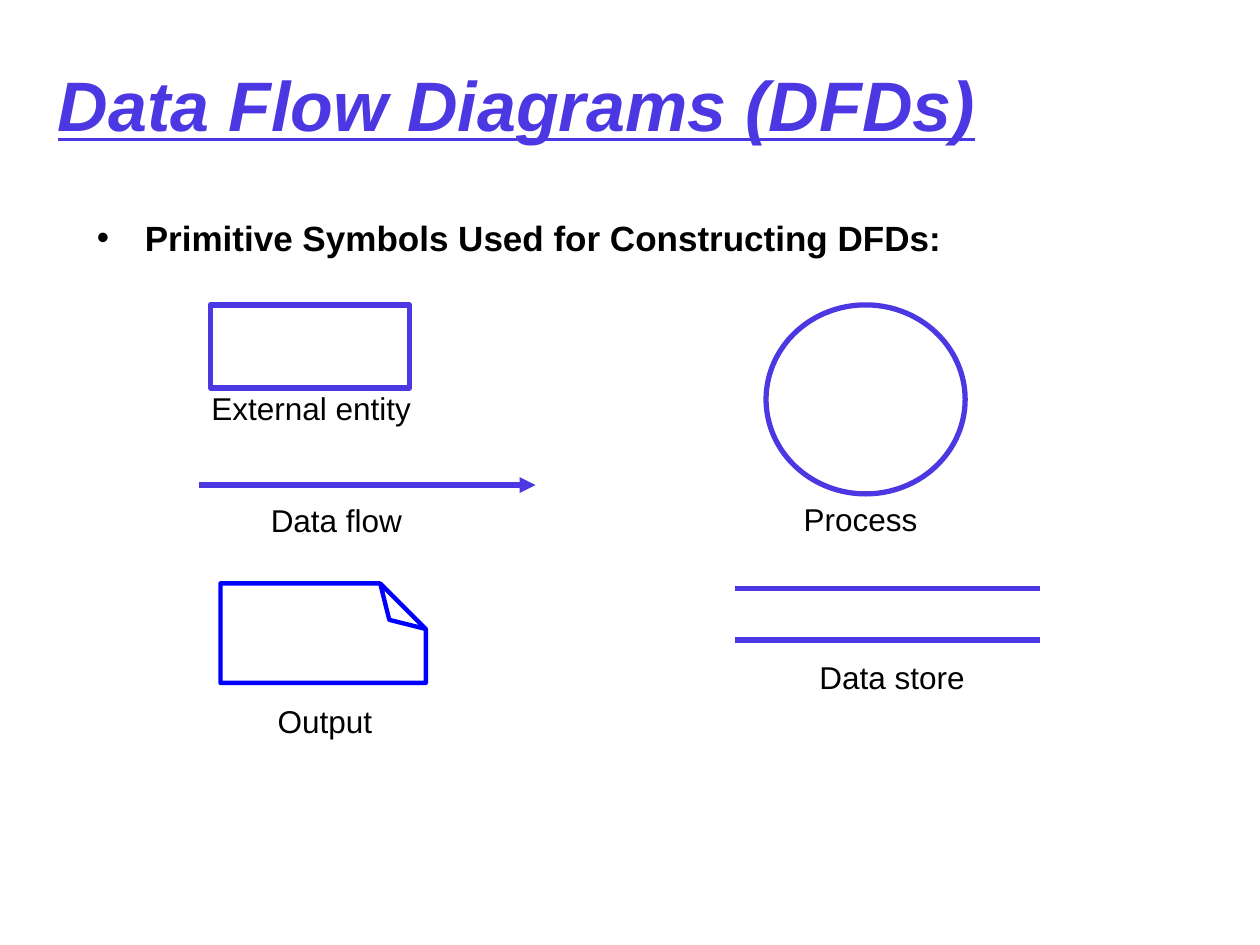
from lxml import etree
from pptx import Presentation
from pptx.dml.color import RGBColor
from pptx.enum import shapes, text
from pptx.oxml.ns import qn
from pptx.util import Inches, Pt

VIOLET, BLUE, BLACK = "4C38E2", "0000FF", "000000"
LEFT, CENTER = text.PP_ALIGN.LEFT, text.PP_ALIGN.CENTER
SHAPE = shapes.MSO_SHAPE

TITLE = "Data Flow Diagrams (DFDs)"
BULLET = "Primitive Symbols Used for Constructing DFDs:"
SYMBOLS = [
    (SHAPE.RECTANGLE, (1.67, 2.42, 1.58, 0.66), VIOLET, 3),
    (SHAPE.OVAL, (6.08, 2.42, 1.58, 1.5), VIOLET, 3),
    (SHAPE.FOLDED_CORNER, (2.17, 4.21, 0.79, 1.63), BLUE, 2.5),
]
LINES = [
    (1.58, 4.25, 3.85, True),
    (5.83, 8.25, 4.67, False),
    (5.83, 8.25, 5.08, False),
]
LABELS = [
    ("External entity", 1.58, 3.04, LEFT),
    ("Data flow", 1.67, 3.93, CENTER),
    ("Output", 1.58, 5.52, CENTER),
    ("Process", 5.83, 3.92, CENTER),
    ("Data store", 6.08, 5.17, CENTER),
]


def color(value):
    return RGBColor.from_string(value)


def add_text(s, content, box, size, fill=BLACK, bold=False, margin=0.02, align=LEFT):
    sp = s.shapes.add_textbox(*map(Inches, box))
    tf = sp.text_frame
    tf.word_wrap = True
    tf.margin_left = tf.margin_right = Inches(margin)
    p = tf.paragraphs[0]
    p.alignment = align
    r = p.add_run()
    r.text = content
    r.font.name = "Arial"
    r.font.size = Pt(size)
    r.font.bold = bold
    r.font.color.rgb = color(fill)
    return tf


def add_symbol(s, kind, box, stroke, width):
    sp = s.shapes.add_shape(kind, *map(Inches, box))
    sp.shadow.inherit = False
    sp.fill.background()
    sp.line.color.rgb = color(stroke)
    sp.line.width = Pt(width)
    return sp


def turn_fold(sp):
    sp.rotation = 270
    geometry = sp._element.spPr.find(qn("a:prstGeom"))
    guides = geometry.find(qn("a:avLst"))
    if guides is None:
        guides = etree.SubElement(geometry, qn("a:avLst"))
    etree.SubElement(guides, qn("a:gd"), name="adj", fmla="val 45800")


def add_line(s, x1, x2, y, arrow):
    sp = s.shapes.add_connector(
        shapes.MSO_CONNECTOR.STRAIGHT, Inches(x1), Inches(y), Inches(x2), Inches(y))
    sp.line.color.rgb = color(VIOLET)
    sp.line.width = Pt(3)
    if arrow:
        etree.SubElement(sp.line._get_or_add_ln(), qn("a:tailEnd"), type="triangle")
    etree.SubElement(sp._element.spPr, qn("a:effectLst"))


def add_bullet(p):
    pPr = p._p.get_or_add_pPr()
    pPr.set("marL", str(Inches(0.38)))
    pPr.set("indent", str(-Inches(0.38)))
    etree.SubElement(pPr, qn("a:buFont"), typeface="Arial")
    etree.SubElement(pPr, qn("a:buChar"), char="•")


def main():
    prs = Presentation()
    prs.slide_width, prs.slide_height = Inches(10), Inches(7.5)
    s = prs.slides.add_slide(prs.slide_layouts[6])

    tf = add_text(s, TITLE, (0.44, 0.2, 8.5, 1.25), 40, VIOLET, bold=True)
    tf.vertical_anchor = text.MSO_ANCHOR.MIDDLE
    font = tf.paragraphs[0].runs[0].font
    font.italic = font.underline = True

    tf = add_text(s, BULLET, (0.75, 1.67, 8.5, 4.5), 20, bold=True)
    add_bullet(tf.paragraphs[0])

    for kind, box, stroke, width in SYMBOLS:
        sp = add_symbol(s, kind, box, stroke, width)
        if kind == SHAPE.FOLDED_CORNER:
            turn_fold(sp)
    for line in LINES:
        add_line(s, *line)
    for label, x, y, align in LABELS:
        add_text(s, label, (x, y, 2, 0.4), 18, margin=0.1, align=align)

    prs.save("out.pptx")


if __name__ == "__main__":
    main()
